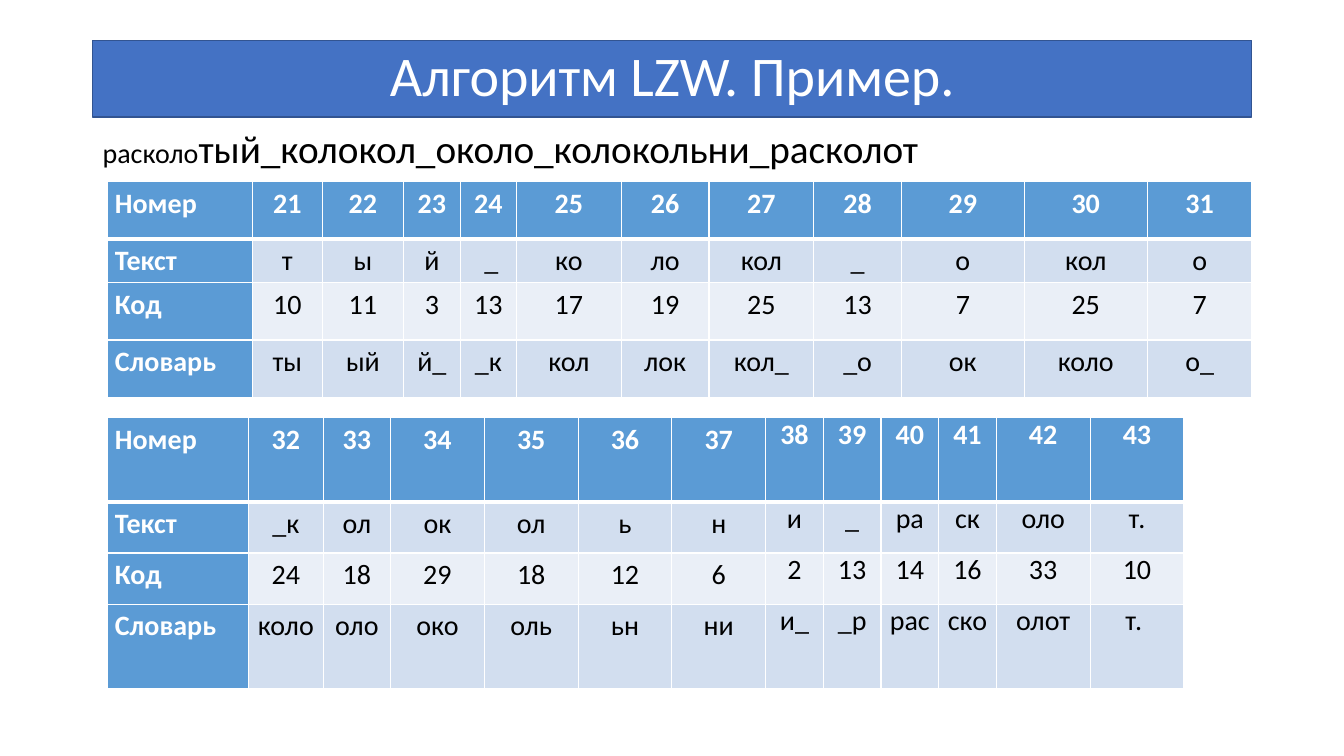
from lxml import etree
from pptx import Presentation
from pptx.dml.color import RGBColor
from pptx.enum.shapes import MSO_SHAPE
from pptx.enum.text import MSO_ANCHOR, PP_ALIGN
from pptx.oxml.ns import qn
from pptx.util import Pt

RECTANGLE = MSO_SHAPE.RECTANGLE
MIDDLE = MSO_ANCHOR.MIDDLE
LEFT, CENTER = PP_ALIGN.LEFT, PP_ALIGN.CENTER

FONT = "Calibri"
WHITE, BLACK = "FFFFFF", "000000"
TITLE_FILL, TITLE_LINE = "4472C4", "325491"
HEADER_FILL, DARK_BAND, LIGHT_BAND = "5B9BD5", "D2DEEF", "EAEFF7"

TITLE = "Алгоритм LZW. Пример."
MESSAGE = [("расколо", 20), ("тый_колокол_около_колокольни_расколот", 28)]

TABLES = [
    {
        "top": 129.6,
        "columns": [103.7, 49.7, 58.3, 40.3, 40.3, 74.9, 62.6, 74.9, 62.6, 87.8, 87.8, 74.9],
        "heights": [41, 29.5, 41, 41],
        "tight_from": 12,
        "rows": [
            ["Номер", "21", "22", "23", "24", "25", "26", "27", "28", "29", "30", "31"],
            ["Текст", "т", "ы", "й", " _", "ко", "ло", "кол", "_", "о", "кол", "о"],
            ["Код", "10", "11", "3", "13", "17", "19", "25", "13", "7", "25", "7"],
            ["Словарь", "ты", "ый", "й_", "_к", "кол", "лок", "кол_", "_о", "ок", "коло", "о_"],
        ],
    },
    {
        "top": 298.1,
        "columns": [100.8, 53.3, 48.2] + [67] * 4 + [41.2] * 4 + [67] * 2,
        "heights": [60.5, 36.5, 36.5, 60.5],
        "tight_from": 7,
        "rows": [
            ["Номер", "32", "33", "34", "35", "36", "37", "38", "39", "40", "41", "42", "43"],
            ["Текст", "_к", "ол", "ок", "ол", "ь", "н", "и", "_", "ра", "ск", "оло", "т."],
            ["Код", "24", "18", "29", "18", "12", "6", "2", "13", "14", "16", "33", "10"],
            ["Словарь", "коло", "оло", "око", "оль", "ьн", "ни", "и_", "_р", "рас", "ско", "олот", "т. "],
        ],
    },
]


def color(value):
    return RGBColor.from_string(value)


def style(font, size, value, bold=False):
    font.name = FONT
    font.size = Pt(size)
    font.bold = bold
    font.color.rgb = color(value)


def add_borders(cell, row):
    widths = {"lnL": 1, "lnR": 1, "lnT": 3 if row == 1 else 1, "lnB": 3 if row == 0 else 1}
    properties = cell._tc.get_or_add_tcPr()
    for position, (side, width) in enumerate(widths.items()):
        line = etree.Element(qn("a:" + side), w=str(Pt(width)))
        fill = etree.SubElement(line, qn("a:solidFill"))
        etree.SubElement(fill, qn("a:srgbClr"), val=WHITE)
        properties.insert(position, line)


def fill_cell(cell, text, row, column, tight):
    heading = row == 0 or column == 0
    band = DARK_BAND if row % 2 else LIGHT_BAND
    cell.fill.solid()
    cell.fill.fore_color.rgb = color(HEADER_FILL if heading else band)
    cell.margin_left = cell.margin_right = Pt(0 if tight else 5.4)
    cell.margin_top = cell.margin_bottom = Pt(0 if tight else 3.6)
    para = cell.text_frame.paragraphs[0]
    para.text = text
    para.alignment = CENTER if column else LEFT
    style(para.font, 20, WHITE if heading else BLACK, heading)
    add_borders(cell, row)


def add_code_table(page, content):
    columns, heights, rows = content["columns"], content["heights"], content["rows"]
    table = page.shapes.add_table(
        len(rows), len(columns), Pt(76.7), Pt(content["top"]), Pt(sum(columns)), Pt(sum(heights))
    ).table
    for column, width in zip(table.columns, columns):
        column.width = Pt(width)
    for row, height in zip(table.rows, heights):
        row.height = Pt(height)
    for r, texts in enumerate(rows):
        for c, text in enumerate(texts):
            fill_cell(table.cell(r, c), text, r, c, c >= content["tight_from"])


def add_title(page):
    box = page.shapes.add_shape(RECTANGLE, Pt(66.2), Pt(28.8), Pt(828), Pt(54.7))
    box.shadow.inherit = False
    box.fill.solid()
    box.fill.fore_color.rgb = color(TITLE_FILL)
    box.line.color.rgb = color(TITLE_LINE)
    box.line.width = Pt(1)
    box.text_frame.vertical_anchor = MIDDLE
    para = box.text_frame.paragraphs[0]
    para.text = TITLE
    para.alignment = CENTER
    para.line_spacing = 0.9
    style(para.font, 40, WHITE)


def add_message(page):
    box = page.shapes.add_textbox(Pt(66.2), Pt(89.3), Pt(828), Pt(397.4))
    box.text_frame.word_wrap = True
    para = box.text_frame.paragraphs[0]
    para.line_spacing = 0.9
    para.space_before = Pt(10)
    for text, size in MESSAGE:
        span = para.add_run()
        span.text = text
        style(span.font, size, BLACK)


def main():
    deck = Presentation()
    deck.slide_width, deck.slide_height = Pt(960), Pt(540)
    page = deck.slides.add_slide(deck.slide_layouts[6])
    add_title(page)
    add_message(page)
    for content in TABLES:
        add_code_table(page, content)
    deck.save("out.pptx")


if __name__ == "__main__":
    main()
